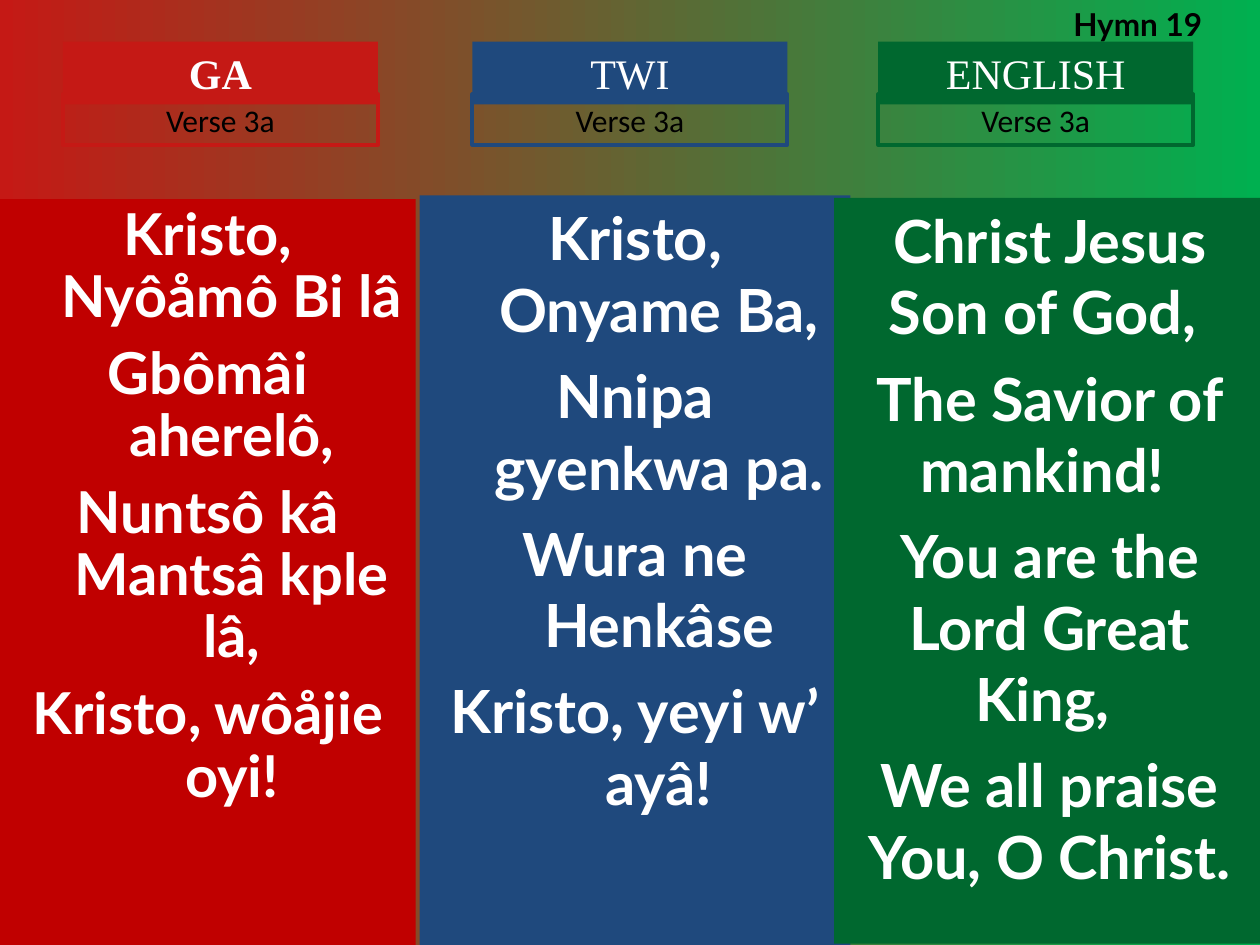
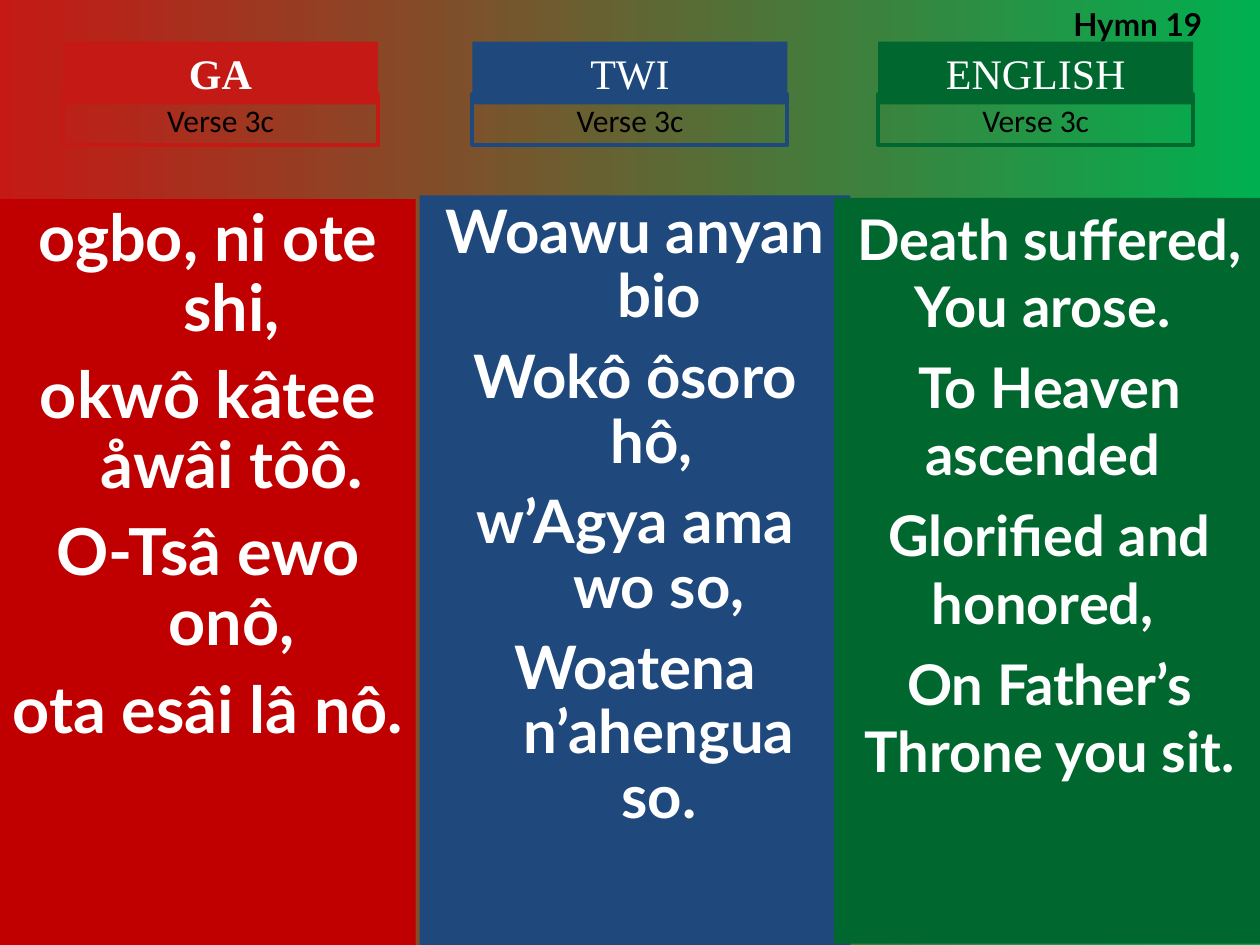
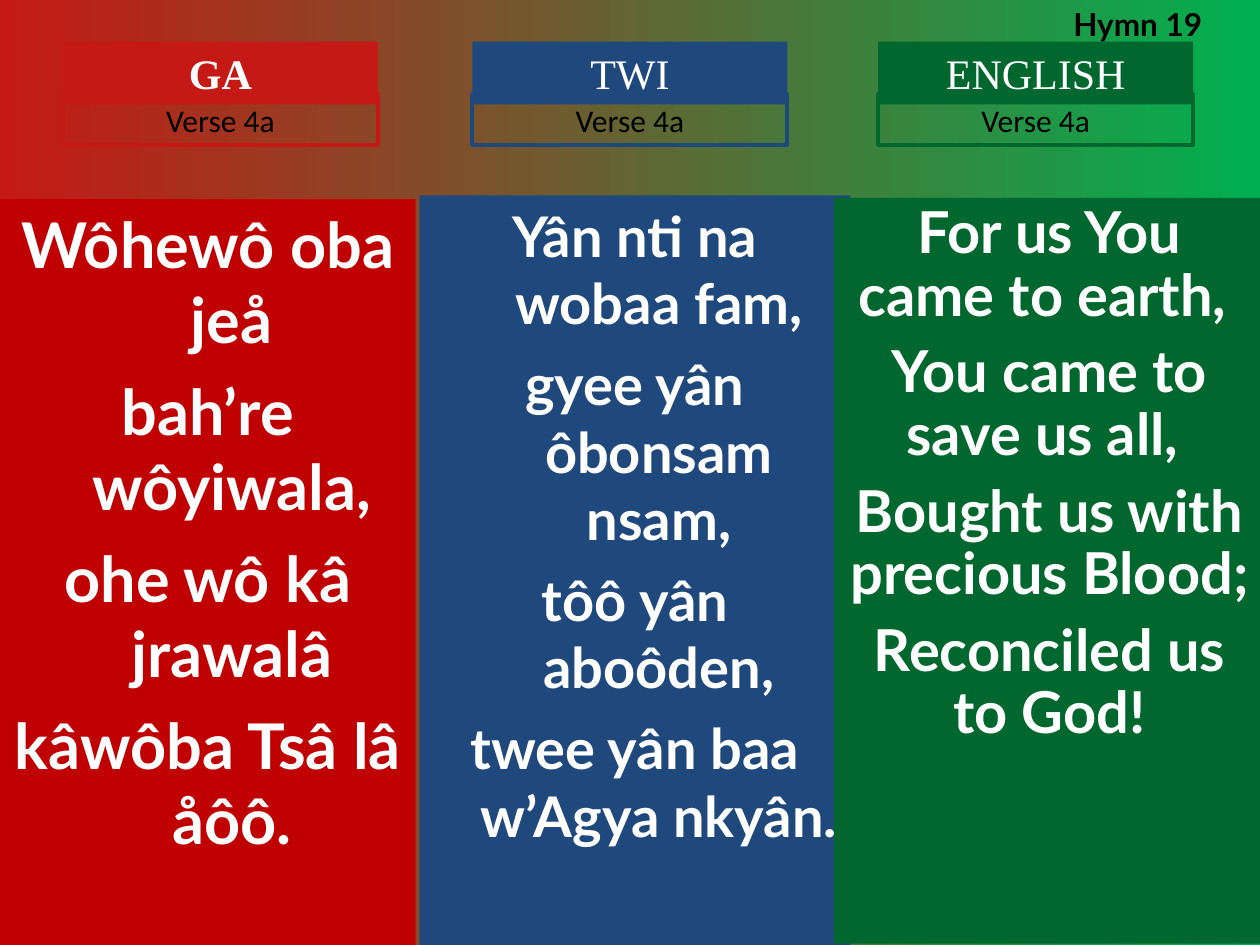
from pptx import Presentation
from pptx.dml.color import RGBColor
from pptx.enum.shapes import MSO_SHAPE as SHAPE
from pptx.enum.text import MSO_ANCHOR as ANCHOR, MSO_AUTO_SIZE as AUTO, PP_ALIGN as ALIGN
from pptx.util import Inches, Pt

RED, BLUE, GREEN = "C51915", "1F497D", "00682F"
WHITE, BLACK = "FFFFFF", "000000"

# Format of each kind of text
TITLE = {"name": "Times New Roman", "size": Pt(24)}
VERSE = {"name": "Calibri", "size": Pt(18)}
HYMN = {"name": "Lato", "size": Pt(18), "bold": True}
LYRICS = {"name": "Lato", "bold": True}

HANGING = Inches(0.38)

# Language, bold title, label left, label colour, panel colour, panel place, hanging lines
COLUMNS = [
    ("GA", True, 0.5, RED, "C00000", (0, 1.58, 3.3, 5.92), True),
    ("TWI", False, 3.75, BLUE, BLUE, (3.33, 1.55, 3.42, 5.95), True),
    ("ENGLISH", False, 6.97, GREEN, GREEN, (6.62, 1.57, 3.42, 5.92), False),
]

# Verse, then for each language: text size, line spacing, space before, lines.
# A space at the end of a line shifts its centring.
VERSES = [
    ("Verse 3a", [
        (33, 0.9, 8.2, ["Kristo, Nyôåmô Bi lâ", "Gbômâi aherelô,",
                        "Nuntsô kâ Mantsâ kple lâ,", "Kristo, wôåjie oyi!"]),
        (34, 1.0, 8.5, ["Kristo, Onyame Ba,", "Nnipa gyenkwa pa.",
                        "Wura ne Henkâse", "Kristo, yeyi w’ ayâ!"]),
        (34, 1.0, 8.5, ["Christ Jesus Son of God, ", "The Savior of mankind! ",
                        "You are the Lord Great King, ", "We all praise You, O Christ."]),
    ]),
    ("Verse 3c", [
        (37, 0.9, 10, ["ogbo, ni ote shi,", "okwô kâtee åwâi tôô.",
                       "O-Tsâ ewo onô,", "ota esâi lâ nô."]),
        (34.2, 0.9, 9.2, ["Woawu anyan bio", "Wokô ôsoro hô, ",
                          "w’Agya ama wo so,", "Woatena n’ahengua so."]),
        (32, 1.0, 8, ["Death suffered, You arose. ", "To Heaven ascended ",
                      "Glorified and honored, ", "On Father’s Throne you sit."]),
    ]),
    ("Verse 4a", [
        (36, 1.0, 9, ["Wôhewô oba jeå", "bah’re wôyiwala,",
                      "ohe wô kâ jrawalâ", "kâwôba Tsâ lâ åôô."]),
        (32, 1.0, 8, ["Yân nti na wobaa fam,", "gyee yân ôbonsam nsam,",
                      "tôô yân aboôden,", "twee yân baa w’Agya nkyân."]),
        (33, 0.9, 8.2, ["For us You came to earth, ", "You came to save us all, ",
                        "Bought us with precious Blood; ", "Reconciled us to God!"]),
    ]),
]


def color(value):
    return RGBColor.from_string(value)


def add_box(page, place, lines, font, ink, fill=None, line=None, align=ALIGN.CENTER,
            anchor=ANCHOR.TOP, fit=AUTO.SHAPE_TO_FIT_TEXT):
    """Add a rectangle with one paragraph for each line and return its paragraphs."""
    box = page.shapes.add_shape(SHAPE.RECTANGLE, *map(Inches, place))
    box.shadow.inherit = False
    if fill:
        box.fill.solid()
        box.fill.fore_color.rgb = color(fill)
    else:
        box.fill.background()
    if line:
        box.line.color.rgb = color(line)
        box.line.width = Pt(2.25)
    else:
        box.line.fill.background()
    frame = box.text_frame
    frame.word_wrap = True
    frame.auto_size = fit
    frame.vertical_anchor = anchor
    for index, text in enumerate(lines):
        para = frame.paragraphs[0] if index == 0 else frame.add_paragraph()
        para.alignment = align
        span = para.add_run()
        span.text = text
        span.font.color.rgb = color(ink)
        for key, value in font.items():
            setattr(span.font, key, value)
    return frame.paragraphs


deck = Presentation()
deck.slide_width, deck.slide_height = Inches(10), Inches(7.5)

for verse, lyrics in VERSES:
    page = deck.slides.add_slide(deck.slide_layouts[6])
    backdrop = page.background.fill
    backdrop.gradient()
    backdrop.gradient_angle = 0
    for stop, shade in zip(backdrop.gradient_stops, (RED, "00B050")):
        stop.color.rgb = color(shade)

    for column, (size, spacing, before, lines) in zip(COLUMNS, lyrics):
        language, bold, left, label_color, panel_color, place, hanging = column
        paras = add_box(page, place, lines, {**LYRICS, "size": Pt(size)}, WHITE,
                        fill=panel_color, fit=AUTO.NONE)
        for index, para in enumerate(paras):
            para.line_spacing = spacing
            para.space_before = Pt(before if index else 0)
            if hanging:
                properties = para._p.get_or_add_pPr()
                properties.set("marL", str(HANGING))
                properties.set("indent", str(-HANGING))
        add_box(page, (left, 0.33, 2.5, 0.5), [language], {**TITLE, "bold": bold}, WHITE,
                fill=label_color, anchor=ANCHOR.BOTTOM)
        add_box(page, (left, 0.75, 2.5, 0.4), [verse], VERSE, BLACK, line=label_color)

    hymn = page.shapes.add_textbox(Inches(8.42), Inches(-0.01), Inches(1.5), Inches(0.4))
    hymn.text_frame.word_wrap = True
    hymn.text_frame.auto_size = AUTO.SHAPE_TO_FIT_TEXT
    span = hymn.text_frame.paragraphs[0].add_run()
    span.text = "Hymn 19"
    span.font.color.rgb = color(BLACK)
    for key, value in HYMN.items():
        setattr(span.font, key, value)

deck.save("out.pptx")
